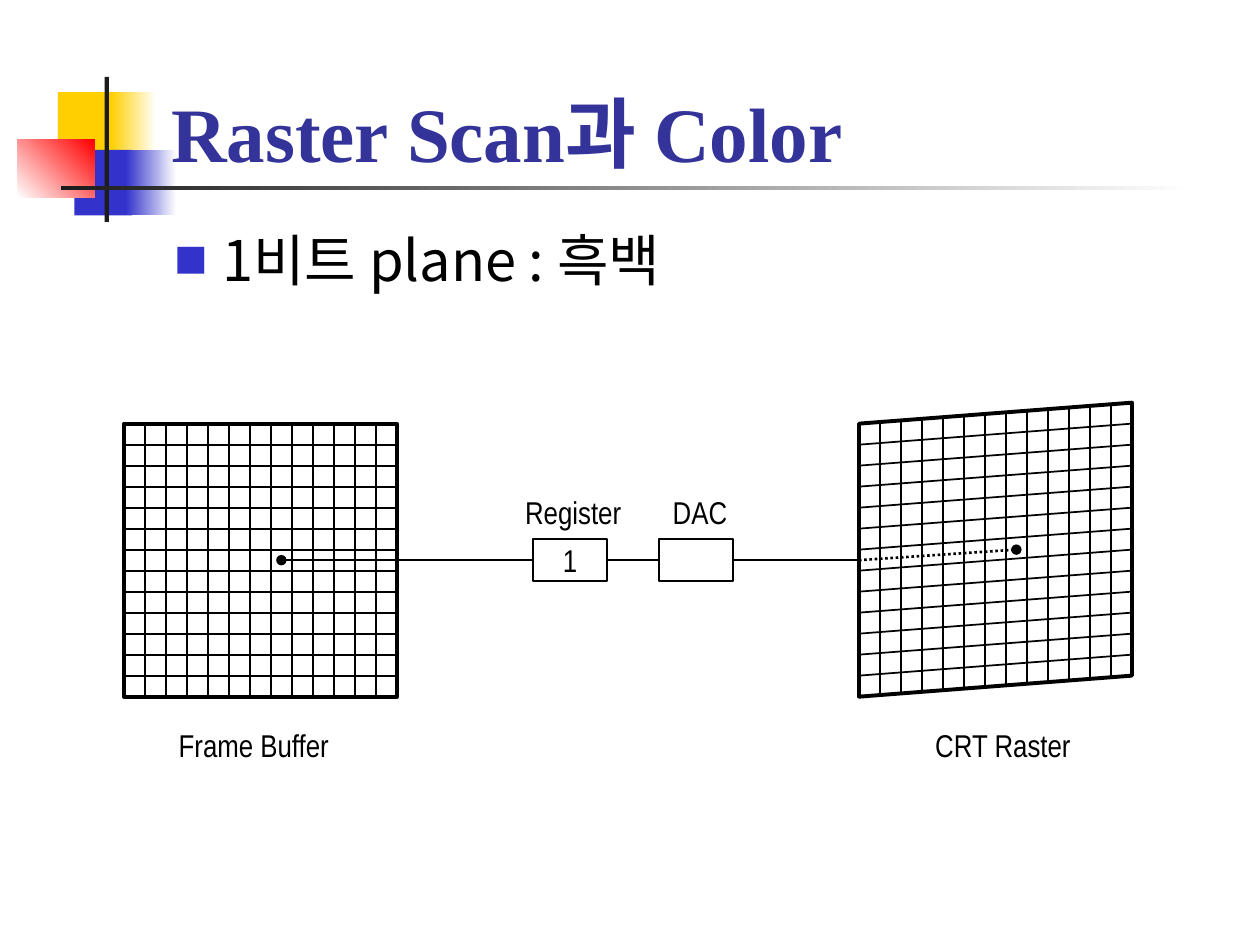
"""Build the slide on raster scan and colour with a 1-bit plane."""
from lxml import etree
from pptx import Presentation
from pptx.dml.color import RGBColor
from pptx.enum import dml, shapes, text
from pptx.oxml import ns
from pptx.util import Pt

YELLOW = RGBColor(0xFF, 0xCF, 0x01)
BLUE = RGBColor(0x33, 0x33, 0xCC)
NAVY = RGBColor(0x33, 0x33, 0x99)
RED = RGBColor(0xFF, 0x00, 0x00)
DARK = RGBColor(0x1C, 0x1C, 0x1C)
BLACK = RGBColor(0x00, 0x00, 0x00)
WHITE = RGBColor(0xFF, 0xFF, 0xFF)
KOREAN = "Noto Sans CJK KR"
NARROW = "Arial Narrow"

CELLS, STEP, RISE = 13, 12, 12
SIDE = CELLS * STEP
BUFFER_X, CRT_X, TOP = 70.8, 490.8, 242.1
MID_Y = TOP + SIDE / 2

prs = Presentation()
prs.slide_width, prs.slide_height = Pt(720), Pt(540)
s = prs.slides.add_slide(prs.slide_layouts[6])


def add_line(x1, y1, x2, y2, width=1):
    ln = s.shapes.add_connector(shapes.MSO_CONNECTOR.STRAIGHT, Pt(x1), Pt(y1), Pt(x2), Pt(y2))
    ln.line.color.rgb = BLACK
    ln.line.width = Pt(width)
    etree.SubElement(ln._element.spPr, ns.qn("a:effectLst"))
    return ln


def write(sp, words, size, font, color=BLACK, anchor=text.MSO_ANCHOR.MIDDLE, align=text.PP_ALIGN.CENTER, wrap=False):
    tf = sp.text_frame
    tf.word_wrap = wrap
    tf.vertical_anchor = anchor
    p = tf.paragraphs[0]
    p.alignment = align
    r = p.add_run()
    r.text = words
    r.font.size = Pt(size)
    r.font.name = font
    r.font.color.rgb = color
    etree.SubElement(r._r.get_or_add_rPr(), ns.qn("a:ea"), typeface=KOREAN)
    return p


for x, y, w, h, start, end, angle in [
    (33.1, 52.6, 34.6, 37.4, YELLOW, YELLOW, 0),
    (63.4, 52.6, 25.9, 37.4, YELLOW, WHITE, 0),
    (42.5, 85.7, 33.1, 37.4, BLUE, BLUE, 0),
    (72, 85.7, 28.8, 37.4, BLUE, WHITE, 0),
    (10.1, 79.9, 43.9, 33.1, WHITE, RED, 45),
    (59.8, 44, 2.4, 82.8, DARK, DARK, 0),
    (34.8, 106.3, 648, 2.4, DARK, WHITE, 0),
]:
    sp = s.shapes.add_shape(shapes.MSO_SHAPE.RECTANGLE, Pt(x), Pt(y), Pt(w), Pt(h))
    sp.shadow.inherit = False
    sp.line.fill.background()
    if start == end:
        sp.fill.solid()
        sp.fill.fore_color.rgb = start
    else:
        sp.fill.gradient()
        sp.fill.gradient_angle = angle
        for stop, color in zip(sp.fill.gradient_stops, (start, end)):
            stop.color.rgb = color

title = s.shapes.add_textbox(Pt(90.7), Pt(15.1), Pt(613.4), Pt(90))
p = write(title, "Raster Scan과 Color", 44, "Times New Roman", NAVY,
          text.MSO_ANCHOR.BOTTOM, text.PP_ALIGN.LEFT, True)
p.runs[0].font.bold = True

body = s.shapes.add_textbox(Pt(92.9), Pt(125.3), Pt(612), Pt(355))
p = write(body, "1비트 plane : 흑백", 32, KOREAN, BLACK, text.MSO_ANCHOR.TOP, text.PP_ALIGN.LEFT, True)
p.space_before = Pt(8)
pPr = p._p.get_or_add_pPr()
pPr.set("marL", str(Pt(27)))
pPr.set("indent", str(-Pt(27)))
color = etree.SubElement(pPr, ns.qn("a:buClr"))
etree.SubElement(color, ns.qn("a:srgbClr"), val=str(BLUE))
etree.SubElement(pPr, ns.qn("a:buSzPct"), val="60000")
etree.SubElement(pPr, ns.qn("a:buFont"), typeface=KOREAN)
etree.SubElement(pPr, ns.qn("a:buChar"), char="■")

for left, rise in [(BUFFER_X, 0), (CRT_X, RISE)]:
    if rise:
        sp = s.shapes.add_shape(shapes.MSO_SHAPE.PARALLELOGRAM, Pt(left - rise / 2), Pt(TOP - rise / 2),
                                Pt(SIDE + rise), Pt(SIDE))
        sp.adjustments[0] = rise / SIDE
        sp.rotation = 270
        sp._element.spPr.xfrm.set("flipH", "1")
    else:
        sp = s.shapes.add_shape(shapes.MSO_SHAPE.RECTANGLE, Pt(left), Pt(TOP), Pt(SIDE), Pt(SIDE))
    sp.shadow.inherit = False
    sp.fill.solid()
    sp.fill.fore_color.rgb = WHITE
    sp.line.color.rgb = BLACK
    sp.line.width = Pt(2.25)
    for i in range(CELLS + 1):
        x, y = left + i * STEP, TOP + i * STEP
        lift = rise * i / CELLS
        add_line(x, TOP - lift, x, TOP + SIDE - lift)
        add_line(left, y, left + SIDE, y - rise)

signal = add_line(BUFFER_X + 7.5 * STEP, MID_Y, CRT_X, MID_Y, 1.5)
beam = add_line(CRT_X, MID_Y, CRT_X + 7.5 * STEP, MID_Y - RISE / 2, 1.5)
beam.line.dash_style = dml.MSO_LINE.ROUND_DOT
for ln, end in [(signal, "a:headEnd"), (beam, "a:tailEnd")]:
    etree.SubElement(ln.line._get_or_add_ln(), ns.qn(end), type="oval")

for x, digit in [(304.8, "1"), (376.8, "")]:
    sp = s.shapes.add_shape(shapes.MSO_SHAPE.RECTANGLE, Pt(x), Pt(MID_Y - 12), Pt(42), Pt(24))
    sp.shadow.inherit = False
    sp.fill.solid()
    sp.fill.fore_color.rgb = WHITE
    sp.line.color.rgb = BLACK
    sp.line.width = Pt(1)
    if digit:
        write(sp, digit, 18, NARROW)

for words, x, y, w in [
    ("Register", 293, 278, 69.1),
    ("DAC", 377.3, 278, 45.4),
    ("Frame Buffer", 95, 411.1, 100.1),
    ("CRT Raster", 527, 411.1, 92.2),
]:
    write(s.shapes.add_textbox(Pt(x), Pt(y), Pt(w), Pt(28.8)), words, 18, NARROW)

prs.save("out.pptx")
